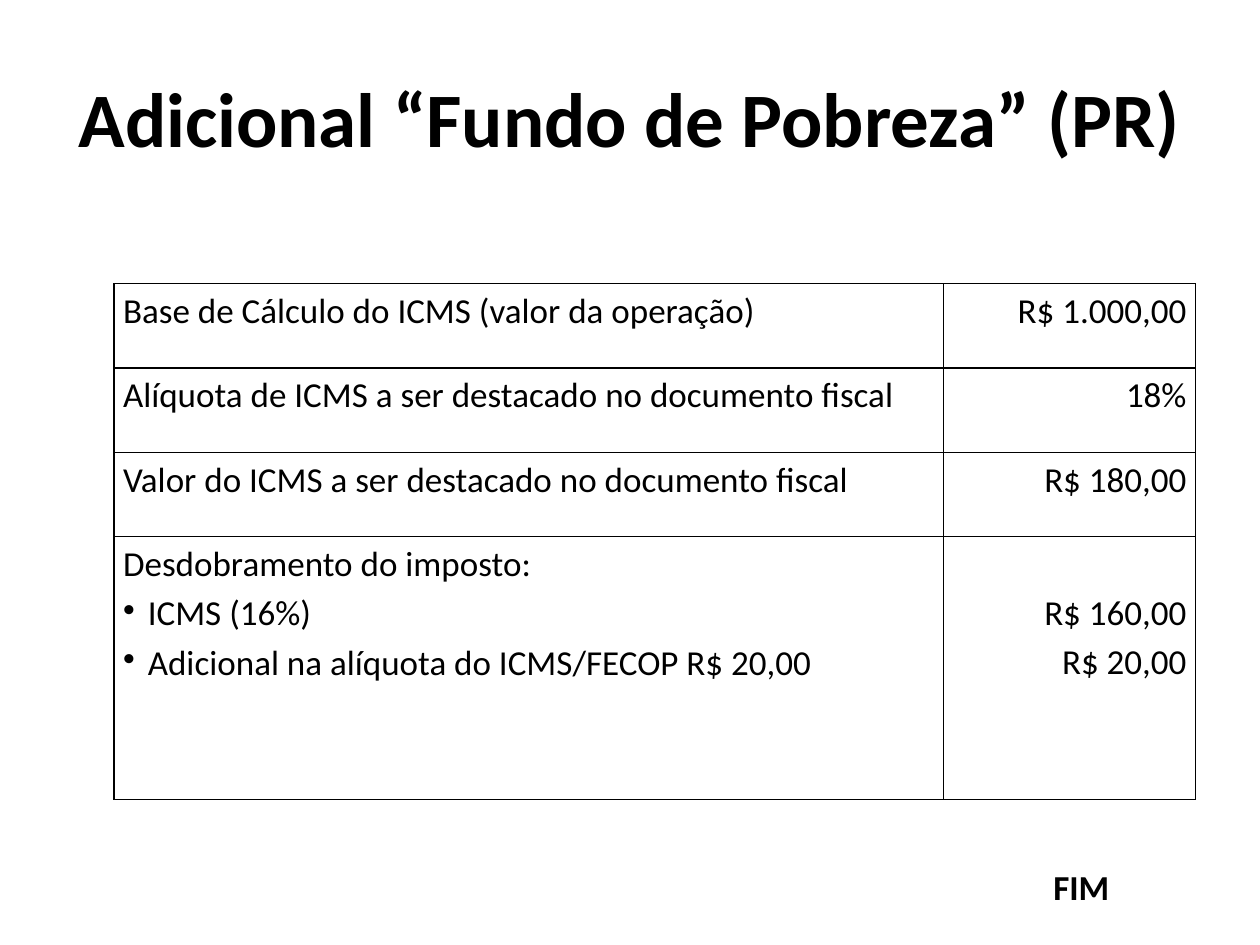
from dataclasses import dataclass

import pptx
import pptx.dml.color
import pptx.enum.text
import pptx.oxml
import pptx.oxml.ns
import pptx.util
from pptx.util import Cm, Pt

BLACK = pptx.dml.color.RGBColor(0, 0, 0)
FONT = "Calibri"
ALIGN = pptx.enum.text.PP_ALIGN
ANCHOR = pptx.enum.text.MSO_ANCHOR
NS = pptx.oxml.ns.nsdecls("a")
BODY_SIZE = 20
LINE_SPACING = 1.15
LINE_HEIGHT = Cm(0.99)
BULLET_INDENT = Cm(0.5)


@dataclass
class Label:
    text: str
    left: float
    top: float
    width: float
    height: float
    size: int


@dataclass
class Row:
    items: list[str]
    values: list[str]
    height: float
    heading: str = ""


LABELS = [
    Label("Adicional “Fundo de Pobreza” (PR)", 1.27, 0.76, 22.86, 3.18, 44),
    Label("FIM", 19.3, 17.32, 5, 1.12, BODY_SIZE),
]
ROWS = [
    Row(["Base de Cálculo do ICMS (valor da operação)"], ["R$ 1.000,00"], 1.7),
    Row(["Alíquota de ICMS a ser destacado no documento fiscal"], ["18%"], 1.7),
    Row(["Valor do ICMS a ser destacado no documento fiscal"], ["R$ 180,00"], 1.7),
    Row(["ICMS (16%)", "Adicional na alíquota do ICMS/FECOP R$ 20,00"],
        ["R$ 160,00", "R$ 20,00"], 5.3, "Desdobramento do imposto:"),
]
COLUMN_WIDTHS = [16.72, 5.08]


def add_run(p, text: str, size: int, bold: bool = False) -> None:
    r = p.add_run()
    r.text = text
    r.font.name = FONT
    r.font.size = Pt(size)
    r.font.bold = bold
    r.font.color.rgb = BLACK


def add_label(s, label: Label) -> None:
    sp = s.shapes.add_textbox(Cm(label.left), Cm(label.top),
                              Cm(label.width), Cm(label.height))
    tf = sp.text_frame
    tf.word_wrap = True
    tf.vertical_anchor = ANCHOR.MIDDLE
    p = tf.paragraphs[0]
    p.alignment = ALIGN.CENTER
    add_run(p, label.text, label.size, bold=True)


def add_bullet(p) -> None:
    pPr = p._p.get_or_add_pPr()
    pPr.set("marL", str(BULLET_INDENT))
    pPr.set("indent", str(-BULLET_INDENT))
    pPr.append(pptx.oxml.parse_xml(f'<a:buChar {NS} char="•"/>'))


def style_cell(cell) -> None:
    """Give a cell black borders, no fill and tight margins."""
    tcPr = cell._tc.get_or_add_tcPr()
    for side in ("lnL", "lnR", "lnT", "lnB"):
        tcPr.append(pptx.oxml.parse_xml(
            f'<a:{side} {NS} w="{Pt(1)}"><a:solidFill>'
            f'<a:srgbClr val="{BLACK}"/></a:solidFill></a:{side}>'))
    cell.fill.background()
    cell.margin_left = cell.margin_right = Cm(0.18)
    cell.margin_top = cell.margin_bottom = 0


def fill_cell(cell, lines: list[str], align, heading: str = "") -> None:
    """Write the lines; below a heading they become bullets."""
    style_cell(cell)
    tf = cell.text_frame
    texts = [heading, *lines] if heading else lines
    for i, text in enumerate(texts):
        p = tf.add_paragraph() if i else tf.paragraphs[0]
        p.alignment = align
        p.line_spacing = LINE_SPACING
        if heading and i:
            add_bullet(p)
        add_run(p, text, BODY_SIZE)


def add_tax_table(s) -> None:
    frame = s.shapes.add_table(
        len(ROWS), len(COLUMN_WIDTHS), Cm(2.3), Cm(5.72),
        Cm(sum(COLUMN_WIDTHS)), Cm(sum(row.height for row in ROWS)))
    table = frame.table
    table.first_row = table.horz_banding = False
    for column, width in zip(table.columns, COLUMN_WIDTHS):
        column.width = Cm(width)
    for i, row in enumerate(ROWS):
        table.rows[i].height = Cm(row.height)
        fill_cell(table.cell(i, 0), row.items, ALIGN.LEFT, row.heading)
        value_cell = table.cell(i, 1)
        fill_cell(value_cell, row.values, ALIGN.RIGHT)
        if row.heading:
            value_cell.margin_top = LINE_HEIGHT


def main() -> None:
    prs = pptx.Presentation()
    prs.slide_width, prs.slide_height = Cm(25.4), Cm(19.05)
    s = prs.slides.add_slide(prs.slide_layouts[6])
    title, ending = LABELS
    add_label(s, title)
    add_tax_table(s)
    add_label(s, ending)
    prs.save("out.pptx")


if __name__ == "__main__":
    main()
